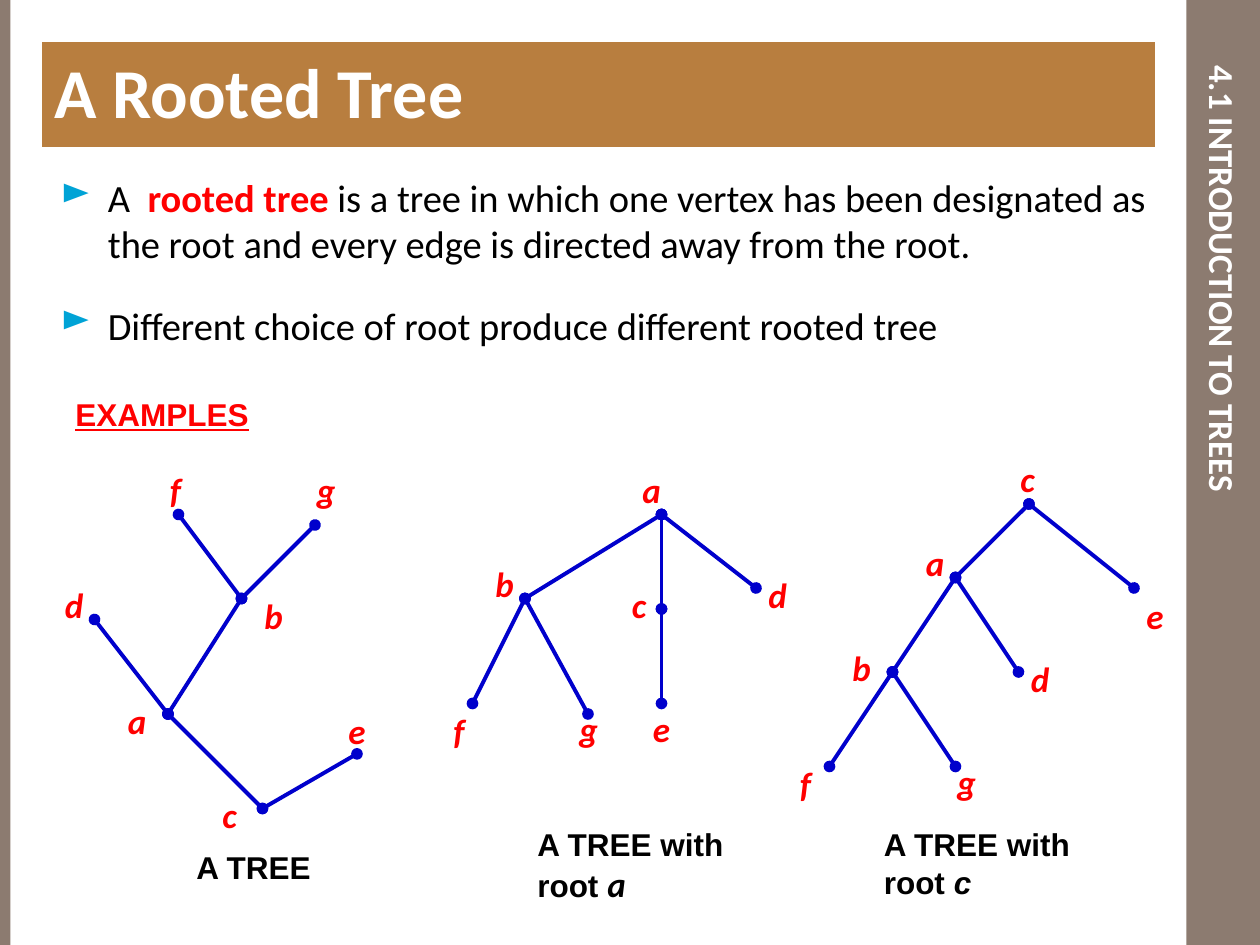
"""Build the slide on rooted trees with its three example graphs."""
from dataclasses import dataclass
from lxml import etree
from pptx import Presentation, util as u
from pptx.dml.color import RGBColor
from pptx.enum import shapes as sh, text as tx
from pptx.oxml import ns

SCALE = 7620


@dataclass(frozen=True)
class Theme:
    side: str = "8C7B70"
    band: str = "B87E3F"
    white: str = "FFFFFF"
    ink: str = "000000"
    red: str = "FF0000"
    edge: str = "0000CC"
    mark: str = "00A3D6"
    sans: str = "Calibri"
    plain: str = "Arial"
    head: int = 40
    body: int = 22
    node: int = 20
    note: int = 18
    line: float = 2.25


T = Theme()


@dataclass(frozen=True)
class Run:
    words: str
    size: int = T.note
    color: str = T.ink
    face: str = T.plain
    bold: bool = True
    slant: bool = False
    under: bool = False


@dataclass(frozen=True)
class Box:
    x: int
    y: int
    w: int
    h: int


@dataclass(frozen=True)
class Node:
    name: str
    x: int
    y: int
    left: int
    top: int


@dataclass(frozen=True)
class Tree:
    nodes: tuple[Node, ...]
    edges: str


@dataclass(frozen=True)
class Note:
    box: Box
    runs: tuple[Run, ...]
    inset: int = 12


TREES = (
    Tree((Node("a", 160, 680, 110, 660), Node("b", 230, 570, 240, 560),
          Node("c", 250, 770, 200, 750), Node("d", 90, 590, 50, 550),
          Node("e", 340, 718, 320, 670), Node("f", 170, 490, 150, 440),
          Node("g", 300, 500, 290, 440)), "gb da ca bf ab ce"),
    Tree((Node("a", 630, 490, 600, 440), Node("b", 500, 570, 460, 530),
          Node("c", 630, 580, 590, 550), Node("d", 720, 560, 720, 540),
          Node("e", 630, 670, 610, 668), Node("f", 450, 670, 420, 670),
          Node("g", 560, 680, 540, 668)), "bf ab ca da gb ec"),
    Tree((Node("a", 910, 550, 870, 510), Node("b", 850, 640, 800, 610),
          Node("c", 980, 480, 960, 430), Node("d", 970, 640, 970, 620),
          Node("e", 1080, 560, 1080, 560), Node("f", 790, 730, 750, 720),
          Node("g", 910, 730, 900, 718)), "ad ba ec ac bg fb"),
)

NOTES = (
    Note(Box(60, 370, 200, 48), (Run("EXAMPLES", color=T.red, under=True),)),
    Note(Box(150, 802, 230, 48), (Run("A TREE"),), 37),
    Note(Box(500, 780, 230, 89), (Run("A TREE with root "),
                                  Run("a", T.node, face=T.sans, slant=True))),
    Note(Box(830, 780, 230, 84), (Run("A TREE with root "), Run("c", slant=True))),
)

POINTS = (
    (Run("A  ", T.body, face=T.sans, bold=False),
     Run("rooted tree", T.body, T.red, T.sans),
     Run(" is a tree in which one vertex has been designated as the root and every "
         "edge is directed away from the root.", T.body, face=T.sans, bold=False)),
    (Run("Different choice of root produce different rooted tree",
         T.body, face=T.sans, bold=False),),
)


def px(n: int) -> u.Emu:
    return u.Emu(n * SCALE)


def place(box: Box) -> tuple[u.Emu, ...]:
    return px(box.x), px(box.y), px(box.w), px(box.h)


def write(para, runs: tuple[Run, ...]) -> None:
    for item in runs:
        run = para.add_run()
        run.text = item.words
        font = run.font
        font.name, font.size = item.face, u.Pt(item.size)
        font.bold, font.italic = item.bold, item.slant
        if item.under:
            font.underline = True
        font.color.rgb = RGBColor.from_string(item.color)


def pad(frame, side: int = 12, edge: int = 6) -> None:
    frame.word_wrap = True
    frame.margin_left = px(side)
    frame.margin_right = px(12)
    frame.margin_top = frame.margin_bottom = px(edge)


def block(slide, box: Box, color: str):
    rect = slide.shapes.add_shape(sh.MSO_SHAPE.RECTANGLE, *place(box))
    rect.shadow.inherit = False
    rect.fill.solid()
    rect.fill.fore_color.rgb = RGBColor.from_string(color)
    rect.line.fill.background()
    return rect


def label(slide, note: Note):
    frame = slide.shapes.add_textbox(*place(note.box)).text_frame
    pad(frame, note.inset)
    write(frame.paragraphs[0], note.runs)
    return frame


def bullet(para) -> None:
    props = para._p.get_or_add_pPr()
    props.set("marL", str(px(61)))
    props.set("indent", str(px(-45)))
    tint = etree.SubElement(props, ns.qn("a:buClr"))
    etree.SubElement(tint, ns.qn("a:srgbClr"), val=T.mark)
    etree.SubElement(props, ns.qn("a:buChar"), char="►")


def link(slide, start: Node, end: Node) -> None:
    line = slide.shapes.add_connector(
        sh.MSO_CONNECTOR.STRAIGHT, px(start.x), px(start.y), px(end.x), px(end.y))
    line.line.color.rgb = RGBColor.from_string(T.edge)
    line.line.width = u.Pt(T.line)
    stroke = line.line._get_or_add_ln()
    for tag in ("a:headEnd", "a:tailEnd"):
        etree.SubElement(stroke, ns.qn(tag), type="oval")
    etree.SubElement(line._element.spPr, ns.qn("a:effectLst"))


def graph(slide, tree: Tree) -> None:
    nodes = {node.name: node for node in tree.nodes}
    for start, end in tree.edges.split():
        link(slide, nodes[start], nodes[end])
    for node in tree.nodes:
        run = Run(node.name, T.node, T.red, T.sans, slant=True)
        label(slide, Note(Box(node.left, node.top, 40, 53), (run,)))


def frame_page(slide) -> None:
    block(slide, Box(1130, 0, 70, 900), T.side)
    block(slide, Box(0, 0, 10, 900), T.side)
    run = Run("4.1 INTRODUCTION TO TREES", T.node, T.white, T.sans)
    side = label(slide, Note(Box(1130, 50, 70, 770), (run,)))
    side.margin_left = side.margin_right = px(6)
    side.margin_top = side.margin_bottom = px(12)
    side.vertical_anchor = tx.MSO_ANCHOR.MIDDLE
    side.paragraphs[0].alignment = tx.PP_ALIGN.CENTER
    side._txBody.bodyPr.set("vert", "eaVert")
    head = block(slide, Box(40, 40, 1060, 100), T.band).text_frame
    pad(head)
    head.vertical_anchor = tx.MSO_ANCHOR.TOP
    head.paragraphs[0].alignment = tx.PP_ALIGN.LEFT
    write(head.paragraphs[0], (Run("A Rooted Tree", T.head, T.white, T.sans),))


def main() -> None:
    deck = Presentation()
    deck.slide_width, deck.slide_height = px(1200), px(900)
    slide = deck.slides.add_slide(deck.slide_layouts[6])
    frame_page(slide)
    first, *rest = POINTS
    body = label(slide, Note(Box(30, 160, 1080, 200), first))
    bullet(body.paragraphs[0])
    for runs in rest:
        para = body.add_paragraph()
        bullet(para)
        para.space_before = u.Pt(20)
        write(para, runs)
    for tree in TREES:
        graph(slide, tree)
    for note in NOTES:
        label(slide, note)
    deck.save("out.pptx")


if __name__ == "__main__":
    main()
